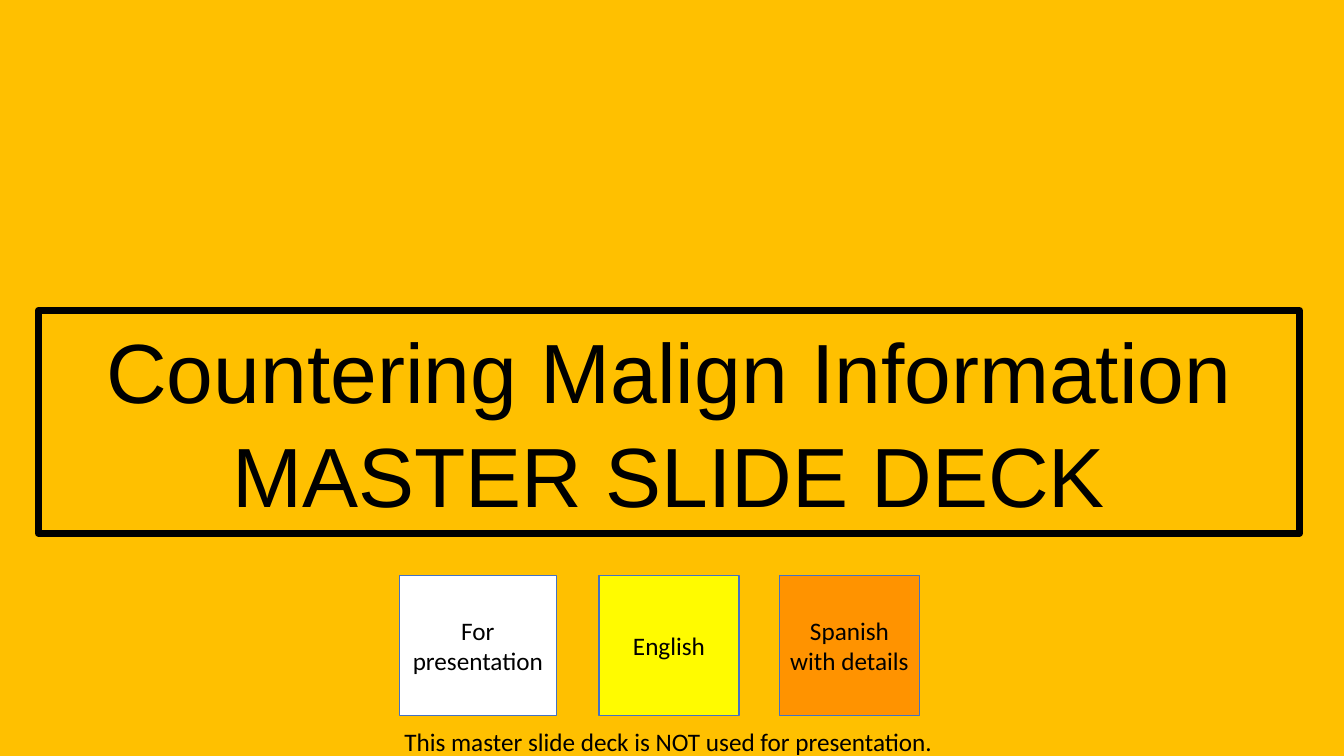
from lxml import etree
from pptx import Presentation
from pptx.dml.color import RGBColor
from pptx.enum.shapes import MSO_SHAPE
from pptx.enum.text import MSO_ANCHOR, MSO_AUTO_SIZE, PP_ALIGN
from pptx.oxml.ns import qn
from pptx.util import Inches, Pt

RECTANGLE = MSO_SHAPE.RECTANGLE
TOP, MIDDLE = MSO_ANCHOR.TOP, MSO_ANCHOR.MIDDLE
NO_FIT = MSO_AUTO_SIZE.NONE
LEFT, CENTER = PP_ALIGN.LEFT, PP_ALIGN.CENTER

SLIDE_WIDTH, SLIDE_HEIGHT = 13.33, 7.5
COLORS = {
    "background": "FFC000",
    "ink": "000000",
    "outline": "4472C4",
    "presentation": "FFFFFF",
    "english": "FFFB00",
    "spanish": "FF9300",
}
CARDS = [
    ("For presentation", "presentation", 0, 1.56),
    ("English", "english", 1.98, 1.39),
    ("Spanish with details", "spanish", 3.77, 1.39),
]


def color(name):
    return RGBColor.from_string(COLORS[name])


def write_text(shape, lines, size=18, font="Calibri", align=CENTER, anchor=MIDDLE,
               margins=(0.05, 0.05, 0.05, 0.05), wrap=True, line_spacing=1.0, space_before=0):
    frame = shape.text_frame
    frame.text = "\n".join(lines)
    frame.auto_size = NO_FIT
    frame.word_wrap = wrap
    frame.vertical_anchor = anchor
    frame.margin_left, frame.margin_top, frame.margin_right, frame.margin_bottom = map(Inches, margins)
    for paragraph in frame.paragraphs:
        paragraph.alignment = align
        paragraph.line_spacing = line_spacing
        paragraph.space_before = Pt(space_before)
        for run in paragraph.runs:
            run.font.size = Pt(size)
            run.font.name = font
            run.font.bold = False
            run.font.color.rgb = color("ink")


def add_heading(slide, left, top, width, height):
    heading = slide.placeholders[1]
    heading.left, heading.top = Inches(left), Inches(top)
    heading.width, heading.height = Inches(width), Inches(height)
    heading.line.color.rgb = color("ink")
    heading.line.width = Pt(5)
    etree.SubElement(heading.line._get_or_add_ln(), qn("a:round"))
    write_text(heading, ["Countering Malign Information", "MASTER SLIDE DECK"],
               size=60, font="Arial", anchor=TOP, margins=(0.1, 0.2, 0.1, 0.05),
               line_spacing=0.9, space_before=10)


def add_cards(slide, left, top, height):
    for label, fill, offset, width in CARDS:
        card = slide.shapes.add_shape(RECTANGLE, Inches(left + offset), Inches(top),
                                      Inches(width), Inches(height))
        card.shadow.inherit = False
        card.fill.solid()
        card.fill.fore_color.rgb = color(fill)
        card.line.color.rgb = color("outline")
        card.line.width = Pt(1)
        write_text(card, [label])


def add_note(slide, left, top, width, height):
    note = slide.shapes.add_textbox(Inches(left), Inches(top), Inches(width), Inches(height))
    write_text(note, ["This master slide deck is NOT used for presentation."],
               align=LEFT, anchor=TOP, wrap=False)


def build_cover(presentation):
    slide = presentation.slides.add_slide(presentation.slide_layouts.get_by_name("Section Header"))
    slide.background.fill.solid()
    slide.background.fill.fore_color.rgb = color("background")
    title = slide.shapes.title.element
    title.getparent().remove(title)
    add_heading(slide, 0.38, 3.08, 12.51, 2.21)
    add_cards(slide, 3.96, 5.71, 1.39)
    add_note(slide, 3.96, 7.16, 5.41, 0.36)


def main():
    presentation = Presentation()
    presentation.slide_width = Inches(SLIDE_WIDTH)
    presentation.slide_height = Inches(SLIDE_HEIGHT)
    build_cover(presentation)
    presentation.save("out.pptx")


if __name__ == "__main__":
    main()
